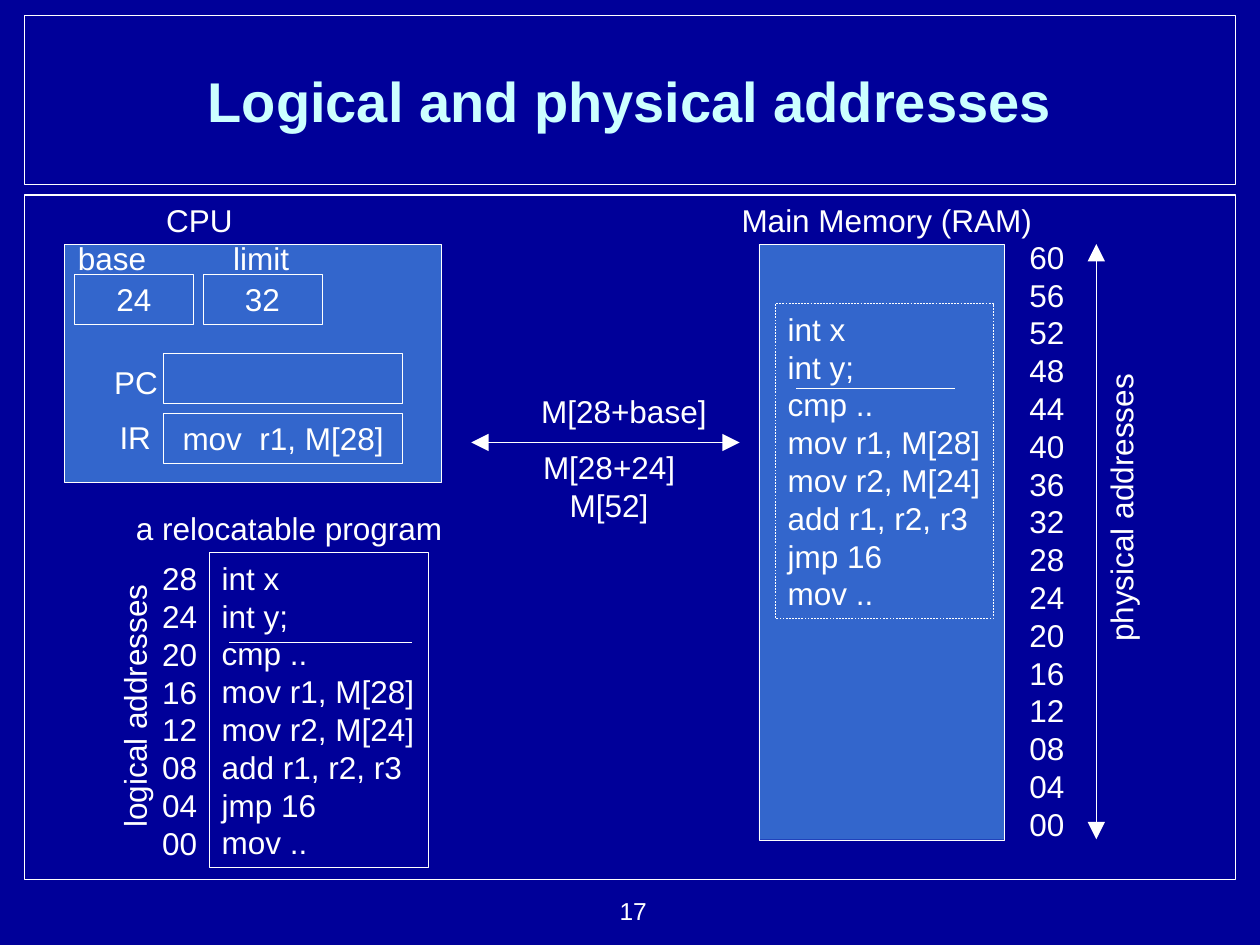
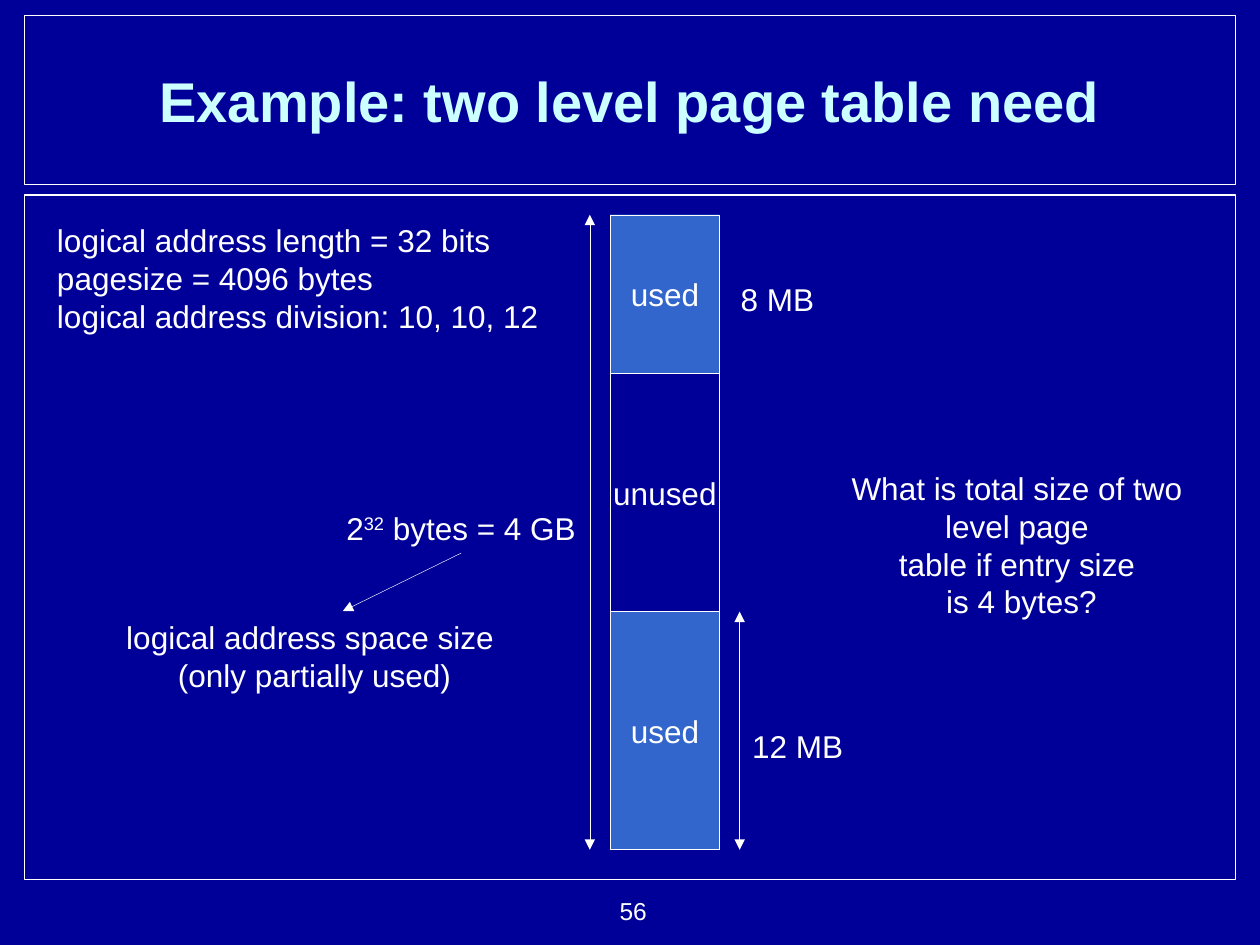
"""Build two slides on logical and physical addresses and two level page tables."""

import pptx
import pptx.dml.color
import pptx.enum.dml
import pptx.enum.shapes
import pptx.enum.text
import pptx.oxml
import pptx.util

Cm = pptx.util.Cm
Pt = pptx.util.Pt
Align = pptx.enum.text.PP_ALIGN
Anchor = pptx.enum.text.MSO_ANCHOR

NAVY = pptx.dml.color.RGBColor(0x00, 0x00, 0x99)
BLUE = pptx.dml.color.RGBColor(0x33, 0x66, 0xCC)
WHITE = pptx.dml.color.RGBColor(0xFF, 0xFF, 0xFF)
PALE = pptx.dml.color.RGBColor(0xCC, 0xFF, 0xFF)
FONT = "Arial"
HAIRLINE = 0.25
LINE_HEIGHT = 1.02


def add_box(page, place, lines=(), fill=None, edge=None, align=Align.LEFT,
            anchor=Anchor.TOP, wrap=False, size=18):
    """Add a text box, or a rectangle when edge gives a line width; ^ toggles superscript."""
    lengths = [Cm(length) for length in place]
    if edge is None:
        box = page.shapes.add_textbox(*lengths)
        if not wrap:
            box.text_frame.auto_size = pptx.enum.text.MSO_AUTO_SIZE.SHAPE_TO_FIT_TEXT
    else:
        box = page.shapes.add_shape(pptx.enum.shapes.MSO_SHAPE.RECTANGLE, *lengths)
        box.shadow.inherit = False
        box.line.color.rgb = WHITE
        box.line.width = Pt(edge)
        if fill is None:
            box.fill.background()
        else:
            box.fill.solid()
            box.fill.fore_color.rgb = fill
    frame = box.text_frame
    frame.word_wrap = wrap
    frame.vertical_anchor = anchor
    for index, line in enumerate(lines):
        para = frame.add_paragraph() if index else frame.paragraphs[0]
        para.alignment = align
        para.line_spacing = Pt(size * 1.2)
        for order, piece in enumerate(line.split("^")):
            span = para.add_run()
            span.text = piece
            span.font.name = FONT
            span.font.size = Pt(size)
            span.font.color.rgb = WHITE
            if order % 2:
                span.font._element.set("baseline", "30000")
    return box


def add_line(page, start, end, heads=(), head_size="med"):
    """Add a hairline with arrowheads at the ends named in heads."""
    line = page.shapes.add_connector(
        pptx.enum.shapes.MSO_CONNECTOR.STRAIGHT, *[Cm(length) for length in start + end])
    line.line.color.rgb = WHITE
    line.line.width = Pt(HAIRLINE)
    outline = line.line._get_or_add_ln()
    for head in heads:
        outline.append(pptx.oxml.parse_xml(
            f'<a:{head} xmlns:a="http://schemas.openxmlformats.org/drawingml/2006/main" '
            f'type="triangle" w="{head_size}" len="{head_size}"/>'))
    line._element.spPr.append(pptx.oxml.parse_xml(
        '<a:effectLst xmlns:a="http://schemas.openxmlformats.org/drawingml/2006/main"/>'))
    return line


BOTH_ENDS = ("headEnd", "tailEnd")

deck = pptx.Presentation()
deck.slide_width = Cm(25.4)
deck.slide_height = Cm(19.05)
background = deck.slide_master.background.fill
background.solid()
background.fore_color.rgb = NAVY

pages = []
for heading, number in [("Logical and physical addresses", "17"),
                        ("Example: two level page table need", "56")]:
    page = deck.slides.add_slide(deck.slide_layouts[5])
    add_box(page, (0.5, 0.32, 24.41, 3.4), edge=0.75)
    add_box(page, (0.5, 3.93, 24.41, 13.8), edge=0.75)
    add_box(page, (10.65, 17.93, 2.64, 0.86), [number], align=Align.RIGHT, wrap=True, size=14)
    title = page.shapes.title
    title.left, title.top, title.width, title.height = Cm(0.9), Cm(0.43), Cm(23.6), Cm(3.18)
    title.text_frame.vertical_anchor = Anchor.MIDDLE
    para = title.text_frame.paragraphs[0]
    para.alignment = Align.CENTER
    span = para.add_run()
    span.text = heading
    span.font.name = FONT
    span.font.size = Pt(32)
    span.font.bold = True
    span.font.color.rgb = PALE
    pages.append(page)

addressing, paging = pages

add_box(addressing, (1.3, 4.92, 7.59, 4.8), fill=BLUE, edge=HAIRLINE)
add_box(addressing, (15.3, 4.92, 4.95, 12.01), fill=BLUE, edge=HAIRLINE)

for text, left, top, width in [
    ("CPU", 3.1, 3.93, 1.85),
    ("Main Memory (RAM)", 14.7, 3.93, 6.4),
    ("base", 1.32, 4.7, 1.9),
    ("limit", 4.45, 4.7, 1.65),
    ("PC", 2.05, 7.19, 1.4),
    ("IR", 2.16, 8.31, 1.14),
    ("a relocatable program", 2.49, 10.13, 6.7),
    ("M[28+base]", 10.66, 7.77, 3.86),
]:
    add_box(addressing, (left, top, width, LINE_HEIGHT), [text])

for lines, left, top, width in [
    (["24"], 1.5, 5.53, 2.4),
    (["32"], 4.09, 5.53, 2.4),
    ([], 3.3, 7.13, 4.82),
    (["mov  r1, M[28]"], 3.3, 8.33, 4.82),
]:
    add_box(addressing, (left, top, width, 1), lines, edge=HAIRLINE,
            align=Align.CENTER, anchor=Anchor.MIDDLE)

program = ["int x", "int y;", "cmp ..", "mov r1, M[28]", "mov r2, M[24]",
           "add r1, r2, r3", "jmp 16", "mov .."]
add_box(addressing, (4.22, 11.14, 4.42, 6.35), program, edge=HAIRLINE, wrap=True)
loaded_program = add_box(addressing, (15.63, 6.12, 4.4, 6.35), program,
                         edge=HAIRLINE, wrap=True)
loaded_program.line.dash_style = pptx.enum.dml.MSO_LINE.DASH
add_line(addressing, (4.62, 12.95), (8.31, 12.95))
add_line(addressing, (16.05, 7.82), (19.25, 7.82))

for highest, left, top, height in [(28, 3.02, 11.15, 6.35), (60, 20.5, 4.67, 12.45)]:
    addresses = [f"{address:02}" for address in range(highest, -1, -4)]
    add_box(addressing, (left, top, 1.6, height), addresses, wrap=True)

for text, left, top, width in [("logical addresses", 0, 13.72, 5.42),
                               ("physical addresses", 19.6, 9.73, 6)]:
    axis_label = add_box(addressing, (left, top, width, LINE_HEIGHT), [text], align=Align.CENTER)
    axis_label.rotation = 270

add_line(addressing, (22.1, 4.92), (22.1, 16.92), BOTH_ENDS, "lg")
add_line(addressing, (9.5, 8.92), (14.91, 8.92), BOTH_ENDS, "lg")
add_box(addressing, (10.69, 8.91, 3.18, 1.78), ["M[28+24]", "M[52]"], align=Align.CENTER)

add_box(paging, (0.9, 4.33, 10.21, 2.54),
        ["logical address length = 32 bits", "pagesize = 4096 bytes",
         "logical address division: 10, 10, 12"])

space_top = 4.33
region_top = space_top
for text, height, fill in [("used", 3.2, BLUE), ("unused", 4.8, None), ("used", 4.8, BLUE)]:
    add_box(paging, (12.3, region_top, 2.21, height), [text], fill=fill, edge=HAIRLINE,
            align=Align.CENTER, anchor=Anchor.MIDDLE)
    region_top += height
space_bottom = region_top
lower_top = space_bottom - height

add_line(paging, (11.89, space_top), (11.89, space_bottom), BOTH_ENDS)
add_line(paging, (14.91, lower_top), (14.91, space_bottom), BOTH_ENDS)

for text, left, top, width in [("8 MB", 14.66, 5.53, 2.02), ("12 MB", 14.9, 14.53, 2.36)]:
    add_box(paging, (left, top, width, LINE_HEIGHT), [text], align=Align.CENTER)

total_size = add_box(paging, (6.72, 10.13, 5.15, LINE_HEIGHT), ["2^32^ bytes = 4 GB"],
                     align=Align.CENTER)
pointer = add_line(paging, (9.3, 11.15), (6.91, 12.32), ["tailEnd"])
pointer.begin_connect(total_size, 2)
add_box(paging, (2.29, 12.33, 8.1, 1.78),
        ["logical address space size ", "(only partially used)"], align=Align.CENTER)
add_box(paging, (16.9, 9.33, 7.38, 3.3),
        ["What is total size of two ", "level page ", "table if entry size ", "is 4 bytes?"],
        align=Align.CENTER)

deck.save("out.pptx")
